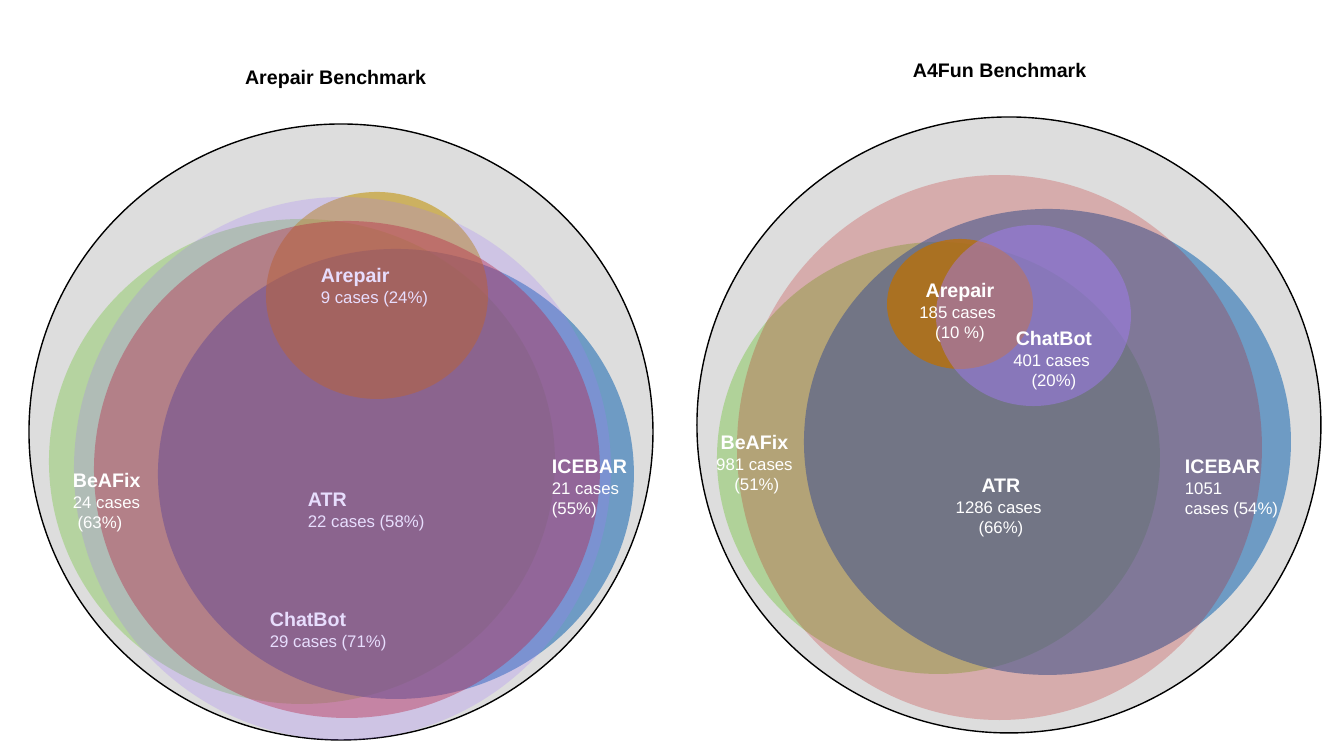
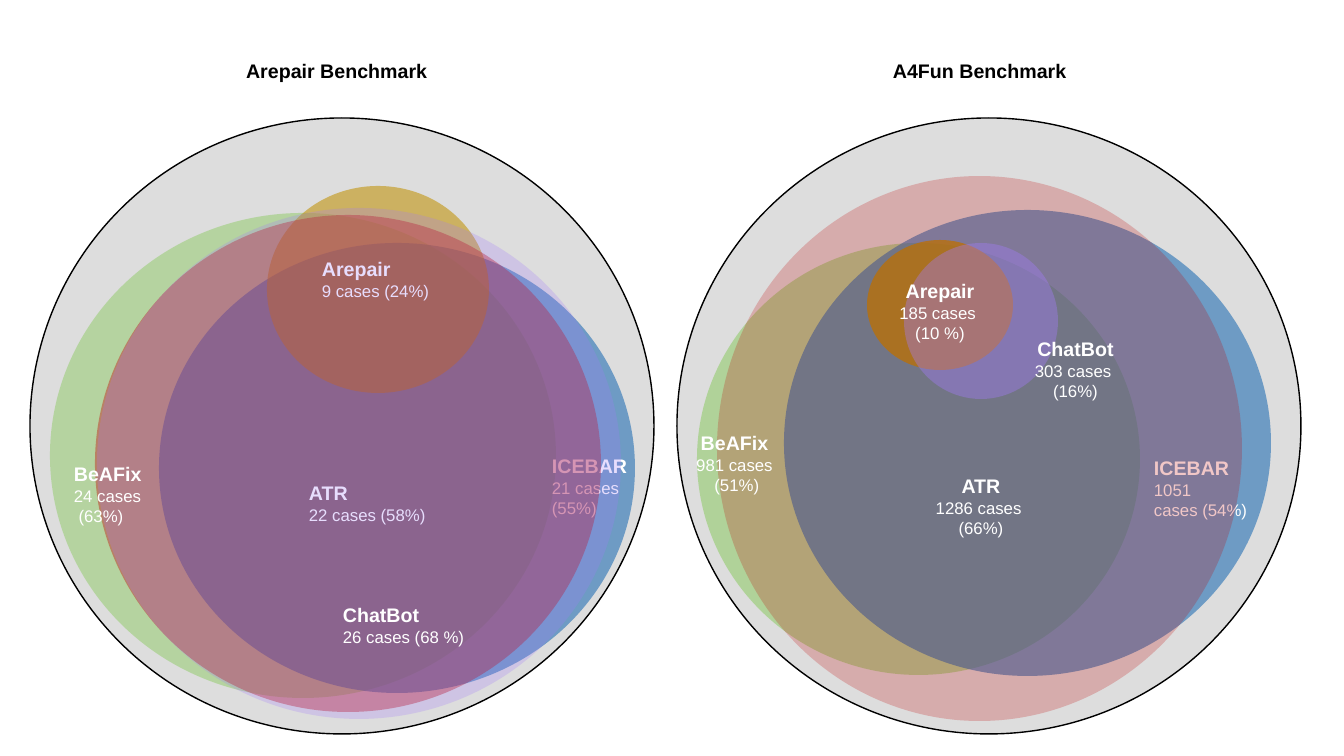
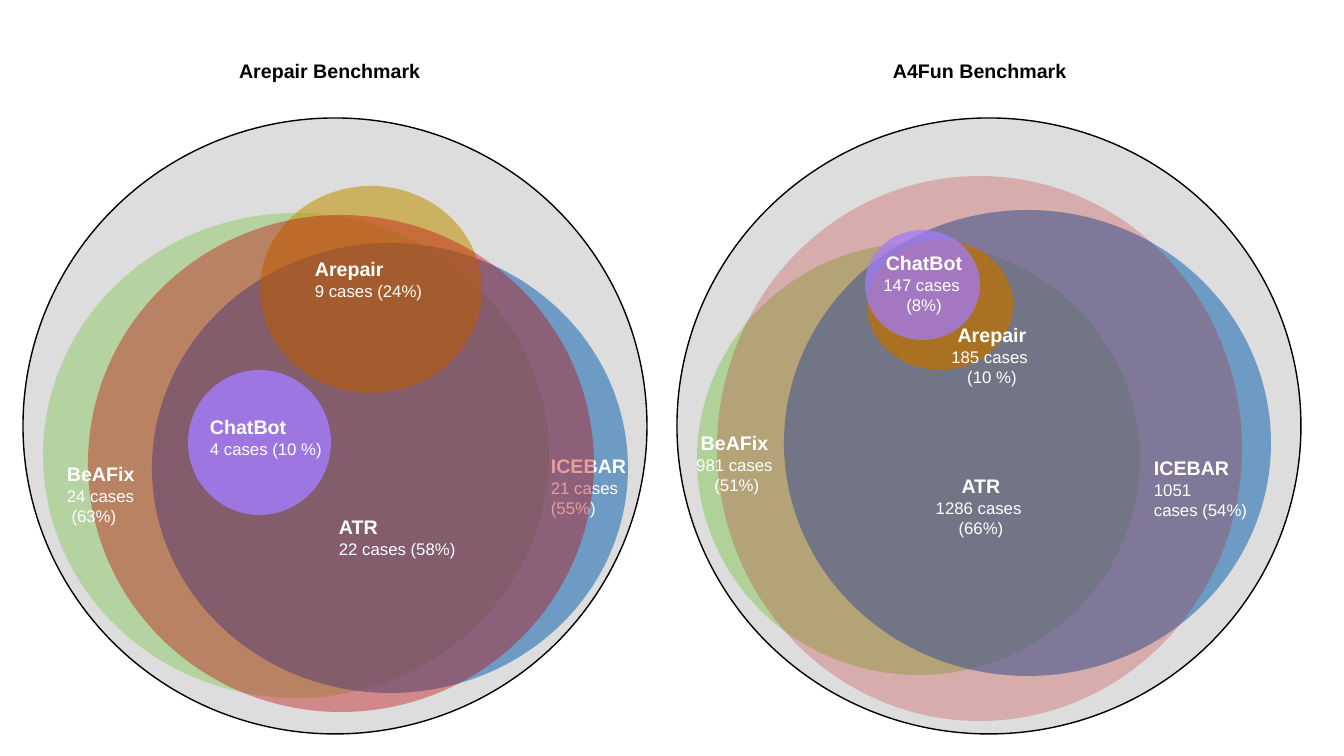
from pptx import Presentation
from pptx.dml.color import RGBColor
from pptx.enum.shapes import MSO_SHAPE as Shape
from pptx.enum.text import MSO_ANCHOR as Anchor, MSO_AUTO_SIZE as Fit, PP_ALIGN as Align
from pptx.oxml.ns import qn
from pptx.util import Pt
from lxml.etree import SubElement

PX = 914400 / 100.8
FONT = "Arial"
BLACK = RGBColor(0x00, 0x00, 0x00)
WHITE = RGBColor(0xFF, 0xFF, 0xFF)
GREY = RGBColor(0xBF, 0xBF, 0xBF)
GREEN = RGBColor(0xA9, 0xD1, 0x8E)
BLUE = RGBColor(0x2E, 0x75, 0xB6)
GOLD = RGBColor(0xBF, 0x90, 0x00)
RED = RGBColor(0xC0, 0x00, 0x00)
PURPLE = RGBColor(0xA3, 0x7B, 0xF9)

deck = Presentation()
deck.slide_width, deck.slide_height = round(1344 * PX), round(756 * PX)


def add_disc(slide, left, top, width, height, color, alpha):
    box = [round(n * PX) for n in (left, top, width, height)]
    disc = slide.shapes.add_shape(Shape.OVAL, *box)
    disc.shadow.inherit = False
    disc.fill.solid()
    disc.fill.fore_color.rgb = color
    tint = disc.fill._xPr.find(qn("a:solidFill"))[0]
    SubElement(tint, qn("a:alpha"), val=str(alpha * 1000))
    disc.line.fill.background()
    return disc


def set_text(shape, left, top, width, text, align, color):
    lines = text.count("\n") + text.count("\v") + 1
    shape.left, shape.top = round(left * PX), round(top * PX)
    shape.width, shape.height = round(width * PX), round((14 + 20 * lines) * PX)
    frame = shape.text_frame
    frame.word_wrap = True
    frame.auto_size = Fit.NONE
    frame.vertical_anchor = Anchor.TOP
    frame.text = text
    for row, para in enumerate(frame.paragraphs):
        para.alignment = align
        para.font.name = FONT
        para.font.size = Pt(12 if row else 14)
        para.font.bold = row == 0
        para.font.color.rgb = color


# Sets and labels of each benchmark, measured from its outer circle.
# Disc: left, top, width, height, colour, opacity. Label: left, top, width, text.
AREPAIR = {
    "title": "Arepair Benchmark",
    "align": Align.LEFT,
    "discs": {
        "BeAFix": (20, 95, 506, 485, GREEN, 76),
        "ICEBAR": (129, 125, 476, 450, BLUE, 63),
        "Arepair": (237, 68, 222, 207, GOLD, 56),
        "ATR": (65, 97, 506, 497, RED, 38),
    },
    "labels": {
        "BeAFix": (34, 339, 207, "24 cases\v (63%)"),
        "ICEBAR": (512, 331, 222, "21 cases \v(55%)"),
        "Arepair": (282, 134, 222, "9 cases (24%)"),
        "ATR": (269, 358, 254, "22 cases (58%)"),
    },
}
A4FUN = {
    "title": "A4Fun Benchmark",
    "align": Align.CENTER,
    "discs": {
        "BeAFix": (20, 125, 443, 432, GREEN, 85),
        "ICEBAR": (107, 92, 487, 466, BLUE, 63),
        "Arepair": (190, 122, 146, 130, GOLD, 74),
        "ATR": (40, 58, 525, 545, RED, 22),
    },
    "labels": {
        "BeAFix": (6, 308, 103, "981 cases\v (51%)"),
        "ICEBAR": (467, 333, 169, "1051 \vcases (54%)"),
        "Arepair": (190, 156, 146, "185 cases \n(10 %)"),
        "ATR": (220, 351, 168, "1286 cases \n(66%)"),
    },
}

# Each panel: benchmark, left, top, ChatBot disc, own labels, and the
# stacking from back to front, where "+" marks a label.
SLIDES = [
    [
        (AREPAIR, 29, 124, (45, 73, 537, 543, PURPLE, 25),
         {"ChatBot": (231, 478, 222, "29 cases (71%)"),
          "ICEBAR": (513, 325, 222, "21 cases \v(55%)")},
         "BeAFix ICEBAR Arepair ATR +Arepair +ATR +ChatBot ChatBot +BeAFix +ICEBAR"),
        (A4FUN, 697, 117, (239, 108, 195, 181, PURPLE, 46),
         {"ChatBot": (273, 204, 168, "401 cases \n(20%)"),
          "ICEBAR": (478, 332, 169, "1051 \vcases (54%)")},
         "BeAFix ICEBAR Arepair ATR ChatBot +ATR +ChatBot +Arepair +ICEBAR +BeAFix"),
    ],
    [
        (AREPAIR, 30, 118, (67, 90, 524, 511, PURPLE, 25),
         {"ChatBot": (303, 480, 183, "26 cases (68 %)")},
         "BeAFix ICEBAR +ICEBAR Arepair ATR +Arepair +ATR ChatBot +ChatBot +BeAFix"),
        (A4FUN, 677, 118, (227, 125, 154, 156, PURPLE, 39),
         {"ChatBot": (337, 214, 123, "303 cases \n(16%)")},
         "BeAFix ICEBAR +ICEBAR Arepair ATR ChatBot +ATR +ChatBot +Arepair +BeAFix"),
    ],
    [
        (AREPAIR, 23, 118, (165, 252, 143, 145, PURPLE, 84),
         {"ChatBot": (177, 292, 183, "4 cases (10 %)"),
          "ICEBAR": (518, 331, 222, "21 cases \v(55%)"),
          "ATR": (306, 392, 240, "22 cases (58%)")},
         "BeAFix ICEBAR +ICEBAR Arepair ATR +Arepair +ATR ChatBot +ChatBot +BeAFix"),
        (A4FUN, 677, 118, (188, 112, 115, 110, PURPLE, 74),
         {"ChatBot": (163, 128, 168, "147 cases \n(8%)"),
          "Arepair": (242, 200, 146, "185 cases \n(10 %)")},
         "BeAFix ICEBAR Arepair ATR +Arepair ChatBot +ATR +ChatBot +ICEBAR +BeAFix"),
    ],
]

for panels in SLIDES:
    slide = deck.slides.add_slide(deck.slide_layouts[5])
    for bench, left, top, chat, own, order in panels:
        # Heading: the first panel takes the title placeholder
        if bench is AREPAIR:
            head = slide.shapes.title
        else:
            head = slide.shapes.add_textbox(0, 0, 0, 0)
        set_text(head, left + 206, top - 64, 222, bench["title"], Align.LEFT, BLACK)

        # Outer circle: all cases
        outer = add_disc(slide, left, top, 624, 616, GREY, 52)
        outer.line.color.rgb = BLACK
        outer.line.width = Pt(1)

        # Sets and their labels
        discs = {**bench["discs"], "ChatBot": chat}
        labels = {**bench["labels"], **own}
        for item in order.split():
            name = item.lstrip("+")
            if item == name:
                x, y, *rest = discs[name]
                add_disc(slide, left + x, top + y, *rest)
            else:
                x, y, width, cases = labels[name]
                align = Align.LEFT if name == "ICEBAR" else bench["align"]
                label = slide.shapes.add_textbox(0, 0, 0, 0)
                set_text(label, left + x, top + y, width, f"{name}\n{cases}", align, WHITE)

deck.save("out.pptx")
